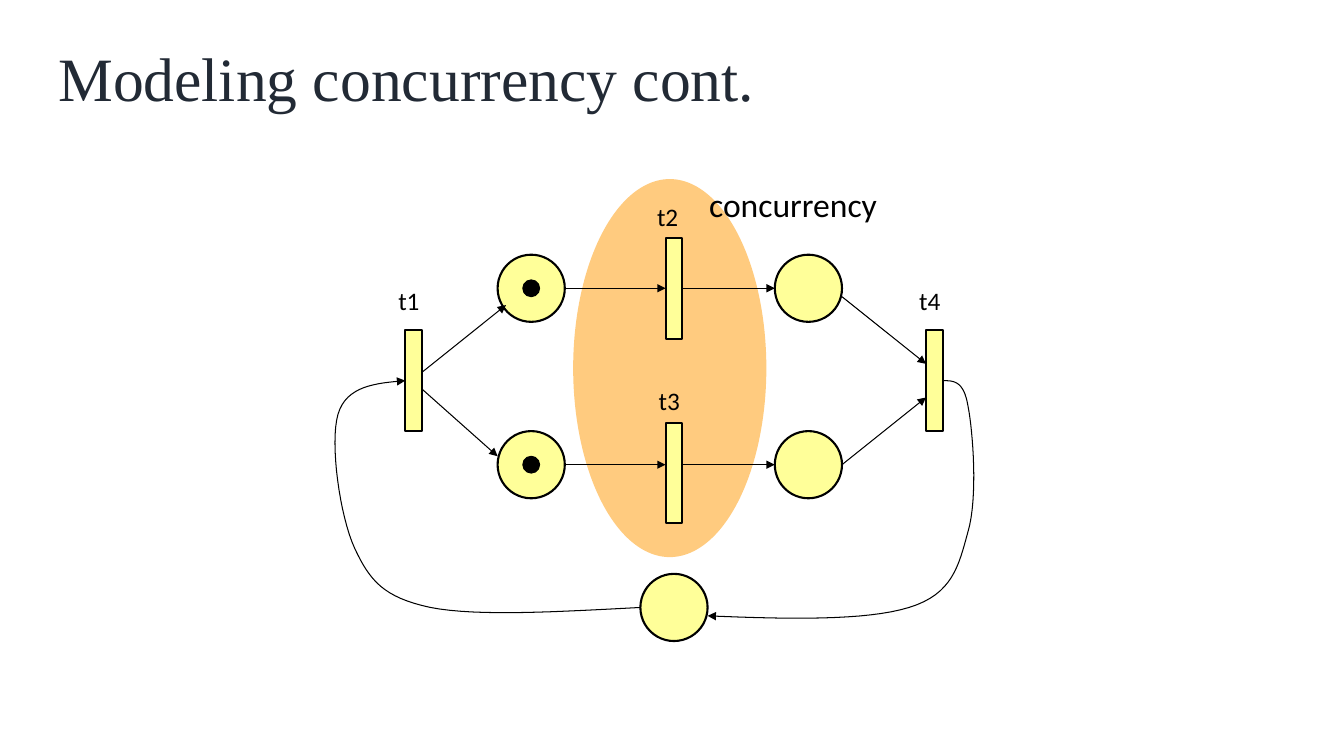
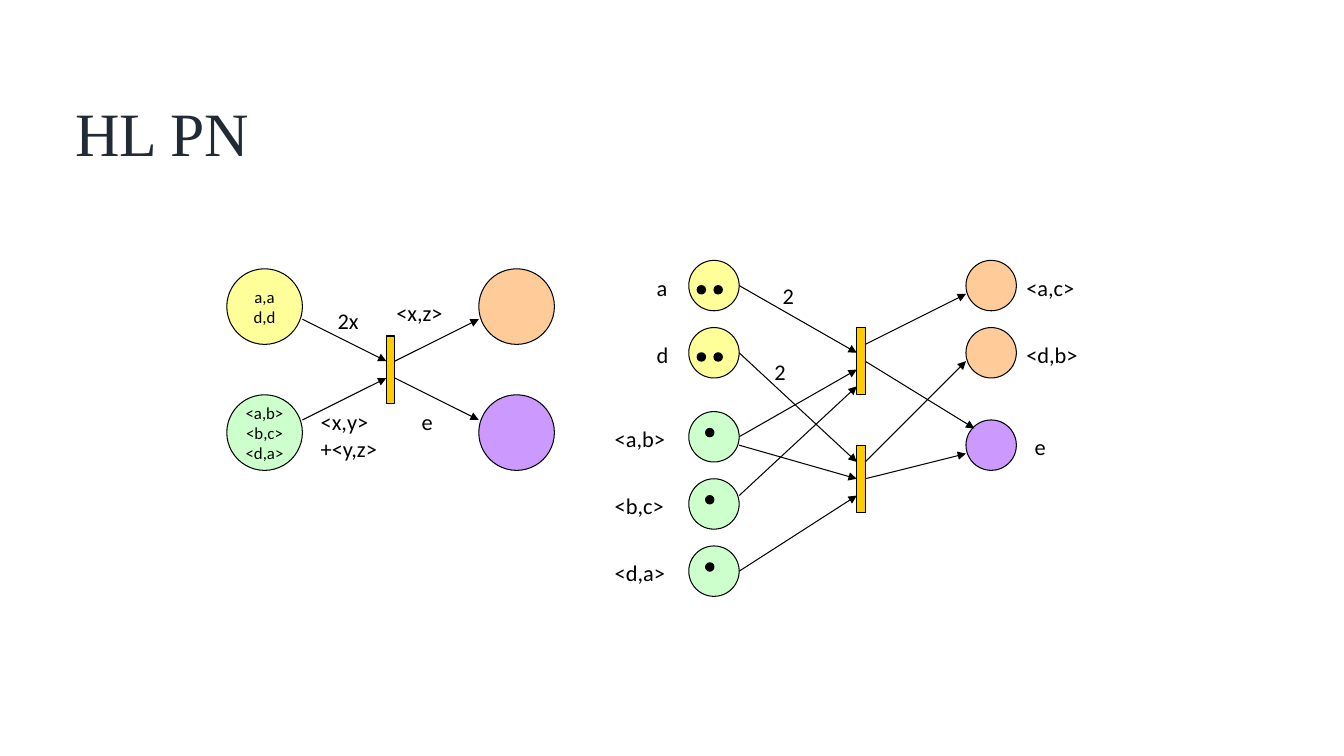
from dataclasses import dataclass
from typing import NamedTuple

from lxml.etree import SubElement
from pptx import Presentation
from pptx.dml.color import RGBColor
from pptx.enum.shapes import MSO_CONNECTOR, MSO_SHAPE
from pptx.enum.text import MSO_ANCHOR, MSO_AUTO_SIZE, PP_ALIGN
from pptx.oxml.ns import qn
from pptx.util import Emu, Inches, Pt

# The slide is a grid of 160 columns by 90 rows of square cells.
COLUMNS, ROWS = 160, 90
CELL = Inches(1) // 12
CELLS_PER_INCH = 12
CURVE_STEPS = 16
LEFT_SIDE, RIGHT_SIDE = 1, 3


@dataclass(frozen=True)
class Theme:
    title_font: str = "Times New Roman"
    body_font: str = "Calibri"
    title_size: int = 44
    callout_size: int = 24
    name_size: int = 18
    label_size: int = 16
    token_size: int = 12
    ink: str = "000000"
    title: str = "222A35"
    highlight: str = "FF9900"
    yellow: str = "FFFF99"
    green: str = "CCFFCC"
    peach: str = "FFCC99"
    violet: str = "CC99FF"
    gold: str = "FFCC00"
    thin: float = 0.75
    thick: float = 1.5


THEME = Theme()


class Point(NamedTuple):
    col: float
    row: float


class Place(NamedTuple):
    col: float
    row: float
    size: float
    fill: str
    marking: tuple[str, ...] = ()


class Bar(NamedTuple):
    """A transition of the net."""
    col: float
    row: float
    width: float
    height: float
    fill: str


class Arc(NamedTuple):
    start: Point
    end: Point


class Label(NamedTuple):
    """Text at a grid point; width is in inches."""
    col: float
    row: float
    width: float
    lines: tuple[str, ...]
    size: int = THEME.label_size


def arcs(*ends: tuple[float, float, float, float]) -> list[Arc]:
    return [Arc(Point(a, b), Point(c, d)) for a, b, c, d in ends]


def rgb(colour: str) -> RGBColor:
    return RGBColor.from_string(colour)


def write(frame, lines, size, font=THEME.body_font, colour=THEME.ink, align=PP_ALIGN.LEFT):
    for index, line in enumerate(lines):
        paragraph = frame.paragraphs[0] if index == 0 else frame.add_paragraph()
        paragraph.text = line
        paragraph.alignment = align
        paragraph.font.size = Pt(size)
        paragraph.font.name = font
        paragraph.font.color.rgb = rgb(colour)


def add_arrowhead(line_shape) -> None:
    outline = line_shape.element.spPr.find(qn("a:ln"))
    SubElement(outline, qn("a:tailEnd"), type="triangle")


class Net:
    """Draws a Petri net on a slide, in grid cells from an origin."""

    def __init__(self, slide, origin: Point = Point(0, 0), weight: float = THEME.thin):
        self.shapes = slide.shapes
        self.origin = origin
        self.weight = weight
        self.bars = []

    def at(self, col: float, row: float) -> tuple[Emu, Emu]:
        return (Emu(round((self.origin.col + col) * CELL)),
                Emu(round((self.origin.row + row) * CELL)))

    def outline(self, shape, weight: float) -> None:
        shape.line.color.rgb = rgb(THEME.ink)
        shape.line.width = Pt(weight)

    def figure(self, kind, col, row, width, height, fill, weight=None):
        shape = self.shapes.add_shape(kind, *self.at(col, row),
                                      Emu(round(width * CELL)), Emu(round(height * CELL)))
        shape.shadow.inherit = False
        shape.fill.solid()
        shape.fill.fore_color.rgb = rgb(fill)
        self.outline(shape, weight or self.weight)
        return shape

    def highlight(self, col, row, width, height) -> None:
        """A half-transparent ellipse behind the net."""
        shape = self.figure(MSO_SHAPE.OVAL, col, row, width, height, THEME.highlight)
        shape.line.fill.background()
        colour = shape.element.spPr.find(qn("a:solidFill"))[0]
        SubElement(colour, qn("a:alpha"), val="50000")

    def place(self, place: Place) -> None:
        shape = self.figure(MSO_SHAPE.OVAL, place.col, place.row,
                            place.size, place.size, place.fill)
        if place.marking:
            shape.text_frame.word_wrap = False
            shape.text_frame.vertical_anchor = MSO_ANCHOR.MIDDLE
            write(shape.text_frame, place.marking, THEME.token_size, align=PP_ALIGN.CENTER)

    def token(self, col, row, size) -> None:
        self.figure(MSO_SHAPE.OVAL, col, row, size, size, THEME.ink, THEME.thin)

    def bar(self, bar: Bar) -> None:
        shape = self.figure(MSO_SHAPE.RECTANGLE, *bar)
        self.bars.append((bar, shape))

    def arc(self, arc: Arc) -> None:
        """An arrow, joined to a bar where it meets the middle of its side."""
        connector = self.shapes.add_connector(
            MSO_CONNECTOR.STRAIGHT, *self.at(*arc.start), *self.at(*arc.end))
        for bar, shape in self.bars:
            middle = bar.row + bar.height / 2
            if arc.start == (bar.col + bar.width, middle):
                connector.begin_connect(shape, RIGHT_SIDE)
            if arc.end == (bar.col, middle):
                connector.end_connect(shape, LEFT_SIDE)
        self.outline(connector, THEME.thin)
        SubElement(connector.element.spPr, qn("a:effectLst"))
        add_arrowhead(connector)

    def curve(self, points: list[tuple[float, float]]) -> None:
        """An arrow along joined cubic Bézier curves."""
        track = []
        for first in range(0, len(points) - 1, 3):
            controls = points[first:first + 4]
            for step in range(1, CURVE_STEPS + 1):
                t = step / CURVE_STEPS
                weights = ((1 - t) ** 3, 3 * t * (1 - t) ** 2, 3 * t * t * (1 - t), t ** 3)
                track.append(self.at(*(sum(w * p[axis] for w, p in zip(weights, controls))
                                       for axis in (0, 1))))
        builder = self.shapes.build_freeform(*self.at(*points[0]))
        builder.add_line_segments(track, close=False)
        shape = builder.convert_to_shape()
        shape.shadow.inherit = False
        shape.fill.background()
        self.outline(shape, THEME.thin)
        add_arrowhead(shape)

    def label(self, label: Label) -> None:
        height = len(label.lines) * label.size * 1.2 / 72 + 0.1
        box = self.shapes.add_textbox(*self.at(label.col, label.row),
                                      Inches(label.width), Inches(height))
        box.text_frame.word_wrap = False
        box.text_frame.auto_size = MSO_AUTO_SIZE.SHAPE_TO_FIT_TEXT
        write(box.text_frame, label.lines, label.size)

    def draw(self, places=(), bars=(), links=(), labels=()) -> None:
        for draw_one, items in ((self.place, places), (self.bar, bars),
                                (self.arc, links), (self.label, labels)):
            for item in items:
                draw_one(item)


def add_titled_slide(deck, title: str, left: float, top: float, width: float):
    slide = deck.slides.add_slide(deck.slide_layouts[6])
    box = slide.shapes.add_textbox(Inches(left), Inches(top), Inches(width), Inches(0.83))
    box.text_frame.word_wrap = True
    box.text_frame.vertical_anchor = MSO_ANCHOR.MIDDLE
    write(box.text_frame, [title], THEME.title_size, THEME.title_font, THEME.title)
    box.text_frame.paragraphs[0].line_spacing = 0.9
    return slide


def build_concurrency(deck) -> None:
    slide = add_titled_slide(deck, "Modeling concurrency cont.", 0.48, 0.39, 10.96)
    net = Net(slide, Point(4.02 * CELLS_PER_INCH, 2.36 * CELLS_PER_INCH), THEME.thick)
    net.highlight(20, -7, 23, 45)
    branch_rows = (2, 23)
    place_spots = [(col, row) for col in (11, 44) for row in branch_rows] + [(28, 40)]
    bar_spots = ((0, 11), (31, 0), (31, 22), (62, 11))
    net.draw(
        places=[Place(col, row, 8, THEME.yellow) for col, row in place_spots],
        bars=[Bar(col, row, 2, 12, THEME.yellow) for col, row in bar_spots],
        links=arcs((2, 16, 12, 8), (2, 18, 11, 26), (52, 7, 62, 15), (52, 27, 62, 19),
                   *((start, row + 4, end, row + 4) for row in branch_rows
                     for start, end in ((19, 31), (33, 44)))),
        labels=[Label(col, row, 0.41, (name,), THEME.name_size) for name, col, row in (
            ("t1", -2, 5), ("t2", 28.8, -5), ("t3", 29, 17), ("t4", 60, 5))]
        + [Label(35, -7, 1.88, ("concurrency",), THEME.callout_size)])
    for row in branch_rows:
        net.token(14, row + 3, 2)
    net.curve([(64, 17), (65.3, 17), (66.5, 17), (67, 20), (67.6, 23), (68.2, 31), (67, 35),
               (65.9, 39), (65.2, 42.4), (60, 44), (54.8, 45.6), (45.5, 45.4), (36, 45)])
    net.curve([(28, 44), (18.4, 44.5), (8.6, 45.1), (3, 44), (-2.6, 42.8), (-4.2, 40.8),
               (-6, 37), (-7.8, 33.1), (-9, 24.4), (-8, 21), (-7, 17.6), (-3.5, 17.3), (0, 17)])


def build_high_level_net(deck) -> None:
    net = Net(add_titled_slide(deck, "HL PN", 0.65, 0.94, 10.9))
    net.draw(
        places=[Place(27, 32, 9, THEME.yellow, ("a,a", "d,d")),
                Place(27, 47, 9, THEME.green, ("<a,b>", "<b,c>", "<d,a>")),
                Place(57, 32, 9, THEME.peach), Place(57, 47, 9, THEME.violet)],
        bars=[Bar(46, 40, 1, 8, THEME.gold)],
        links=arcs((36, 38, 46, 43), (36, 50, 46, 45), (47, 43, 57, 38), (47, 45, 57, 50)),
        labels=[Label(49, 48, 0.31, ("e",)), Label(37, 48, 0.77, ("<x,y>", "+<y,z>")),
                Label(46, 35, 0.67, ("<x,z>",)), Label(39, 36, 0.41, ("2x",))])

    # Unfolded net: fill, place column and row, name, name column and width, token columns.
    unfolded = (
        (THEME.yellow, 82, 31, "a", 77, 0.31, (83, 85)),
        (THEME.yellow, 82, 39, "d", 77, 0.32, (83, 85)),
        (THEME.green, 82, 49, "<a,b>", 72, 0.71, (84,)),
        (THEME.green, 82, 57, "<b,c>", 72, 0.69, (84,)),
        (THEME.green, 82, 65, "<d,a>", 72, 0.71, (84,)),
        (THEME.peach, 115, 31, "<a,c>", 121, 0.68, ()),
        (THEME.peach, 115, 39, "<d,b>", 121, 0.72, ()),
        (THEME.violet, 115, 50, "e", 122, 0.31, ()),
    )
    net.draw(
        places=[Place(col, row, 6, fill) for fill, col, row, *_ in unfolded],
        bars=[Bar(102, row, 1, 8, THEME.gold) for row in (39, 53)],
        links=arcs((88, 34, 102, 42), (88, 42, 102, 55), (88, 52, 102, 44), (88, 53, 102, 57),
                   (88, 59, 102, 46), (88, 68, 102, 59), (103, 41, 115, 35),
                   (103, 43, 116, 51), (103, 55, 115, 43), (103, 57, 115, 54)),
        labels=[Label(col, row + 1, width, (name,))
                for _, _, row, name, col, width, _ in unfolded]
        + [Label(92, 33, 0.32, ("2",)), Label(91, 42, 0.32, ("2",))])
    for _, _, row, _, _, _, token_cols in unfolded:
        for col in token_cols:
            net.token(col, row + 1 + len(token_cols), 1)


def main() -> None:
    deck = Presentation()
    deck.slide_width, deck.slide_height = Emu(COLUMNS * CELL), Emu(ROWS * CELL)
    build_concurrency(deck)
    build_high_level_net(deck)
    deck.save("out.pptx")


if __name__ == "__main__":
    main()
